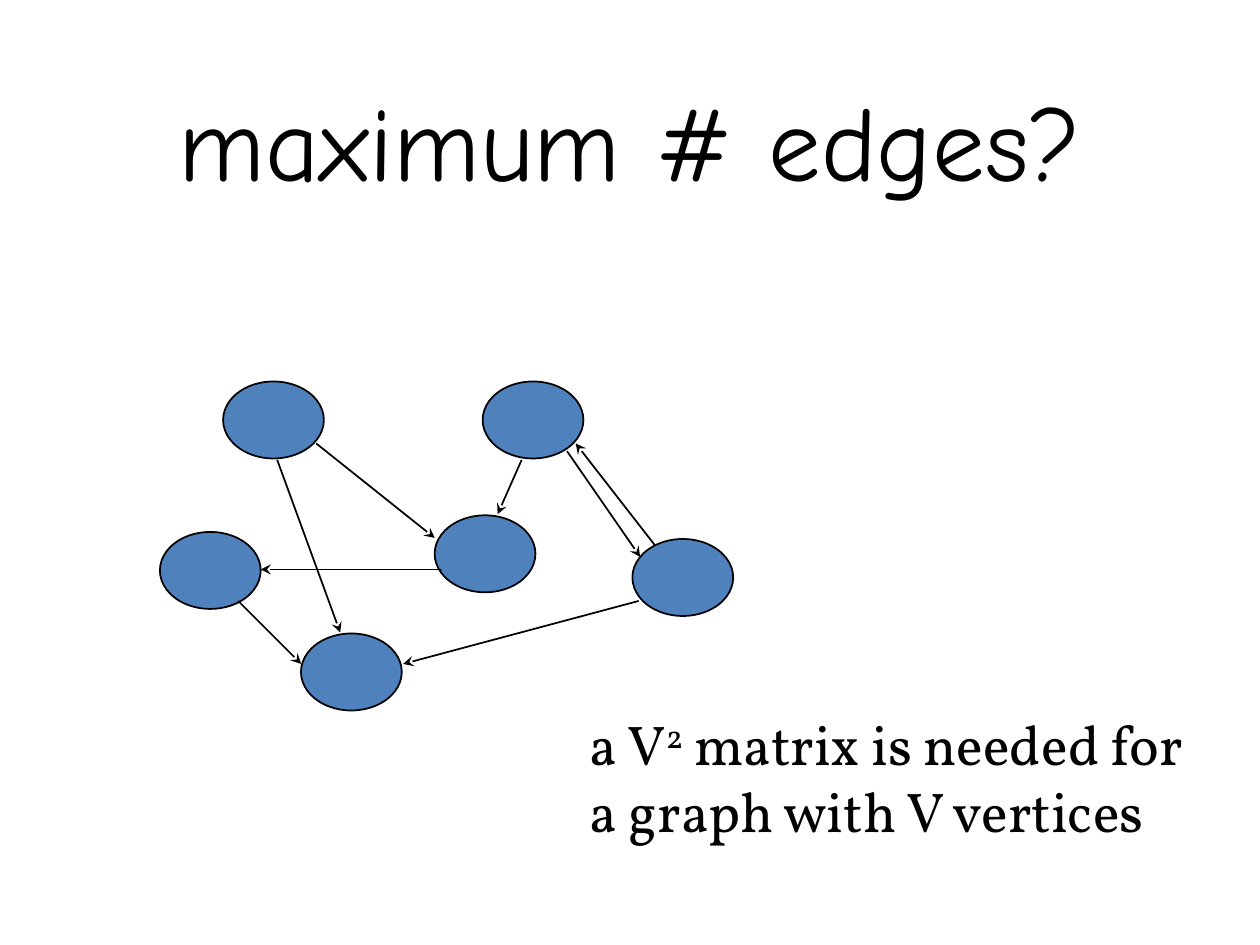
import pptx
import pptx.util
import pptx.dml.color
import pptx.enum.shapes
import pptx.enum.text
import pptx.oxml
import pptx.oxml.ns

Pt = pptx.util.Pt
COLORS = {"ink": "000000", "vertex": "4F81BD"}

TITLE = "maximum # edges?"
NOTE = [
    [("a V", False), ("2", True), (" matrix is needed for", False)],
    [("a graph with V vertices", False)],
]
VERTEX_SIZE = (57.6, 44)
VERTICES = [(127.5, 218), (275.8, 218), (361.4, 308),
            (248.4, 294.5), (172, 362), (91.4, 304)]
EDGES = [
    ((180.7, 253.4), (248.4, 307.4)),
    ((158.4, 262.8), (194.4, 361.4)),
    ((298.1, 262.8), (284.4, 293.8)),
    ((374.4, 311.8), (329, 253.4)),
    ((365, 343.4), (230.4, 379.4)),
    ((252.7, 325.4), (149, 325.4)),
    ((136.1, 343.4), (172.1, 379.4)),
    ((324, 257.8), (365.8, 318.2)),
]


def color(name):
    return pptx.dml.color.RGBColor.from_string(COLORS[name])


def outline(shape):
    shape.line.color.rgb = color("ink")
    shape.line.width = Pt(1)


def add_text(slide, box, lines, font, size, align, anchor, wrap):
    frame = slide.shapes.add_textbox(*map(Pt, box)).text_frame
    frame.word_wrap = wrap
    frame.vertical_anchor = anchor
    for i, line in enumerate(lines):
        paragraph = frame.add_paragraph() if i else frame.paragraphs[0]
        paragraph.alignment = align
        paragraph.font.name = font
        paragraph.font.size = Pt(size)
        paragraph.font.color.rgb = color("ink")
        for words, raised in line:
            run = paragraph.add_run()
            run.text = words
            if raised:
                run.font._element.set("baseline", "30000")


def add_vertex(slide, corner):
    vertex = slide.shapes.add_shape(
        pptx.enum.shapes.MSO_SHAPE.OVAL, *map(Pt, corner + VERTEX_SIZE))
    vertex.shadow.inherit = False
    vertex.fill.solid()
    vertex.fill.fore_color.rgb = color("vertex")
    outline(vertex)


def add_edge(slide, start, end):
    edge = slide.shapes.add_connector(
        pptx.enum.shapes.MSO_CONNECTOR.STRAIGHT, *map(Pt, start + end))
    outline(edge)
    namespace = pptx.oxml.ns.nsdecls("a")
    edge.line._get_or_add_ln().append(
        pptx.oxml.parse_xml(f'<a:tailEnd {namespace} type="stealth"/>'))
    edge._element.spPr.append(pptx.oxml.parse_xml(f"<a:effectLst {namespace}/>"))


def main():
    deck = pptx.Presentation()
    deck.slide_width, deck.slide_height = Pt(720), Pt(540)
    slide = deck.slides.add_slide(deck.slide_layouts[6])
    align, anchor = pptx.enum.text.PP_ALIGN, pptx.enum.text.MSO_ANCHOR
    add_text(slide, (0, 36, 720, 87), [[(TITLE, False)]],
             "Comic Neue", 60, align.CENTER, anchor.MIDDLE, True)
    for corner in VERTICES:
        add_vertex(slide, corner)
    for start, end in EDGES:
        add_edge(slide, start, end)
    add_text(slide, (330, 401.8, 365, 84.2), NOTE,
             "Vollkorn", 32, align.LEFT, anchor.TOP, False)
    deck.save("out.pptx")


if __name__ == "__main__":
    main()
